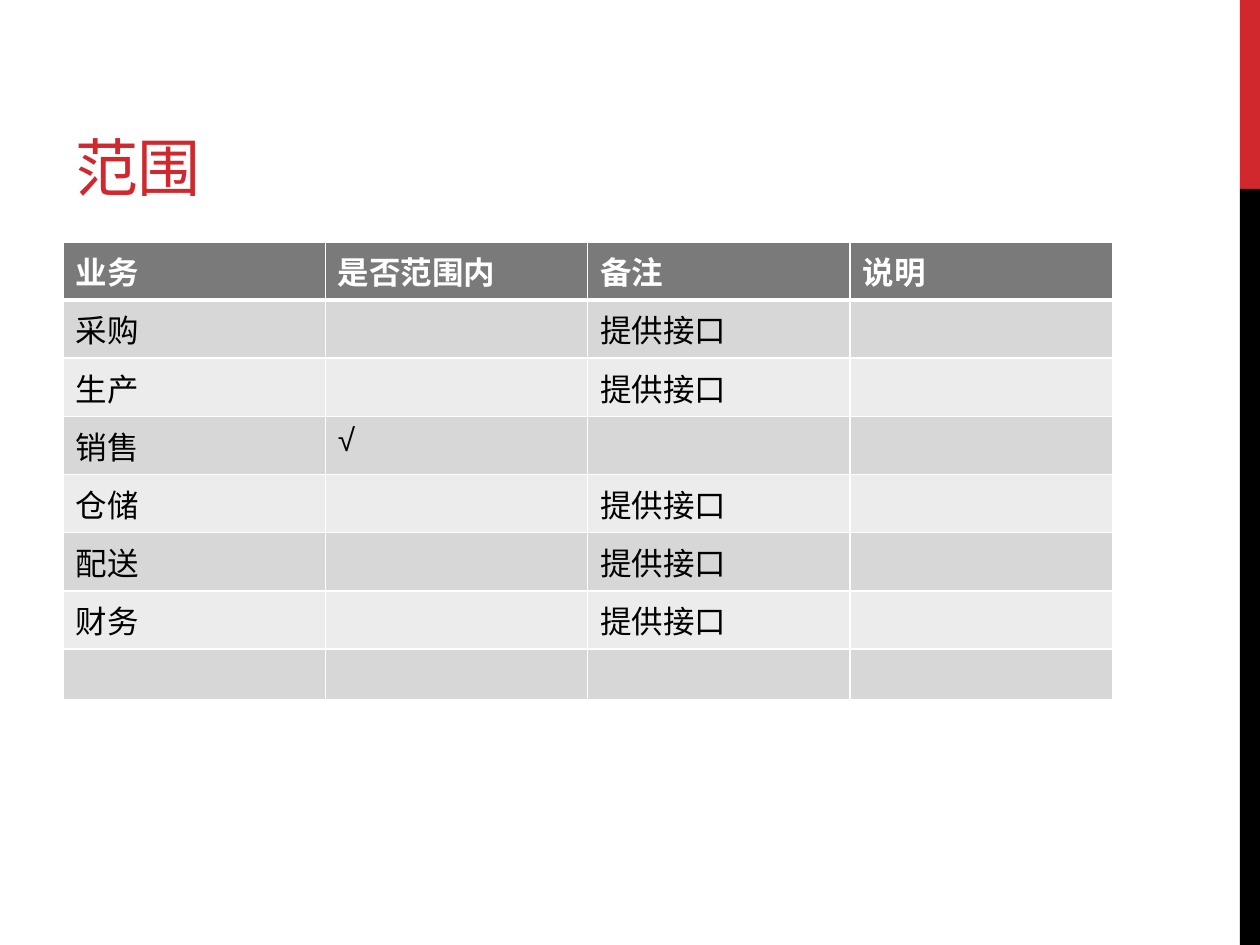
from lxml import etree
from pptx import Presentation
from pptx.dml.color import RGBColor
from pptx.enum.shapes import MSO_SHAPE
from pptx.enum.text import MSO_ANCHOR
from pptx.oxml.ns import qn
from pptx.util import Inches, Pt

COLORS = {
    "red": "D1282E",
    "black": "000000",
    "white": "FFFFFF",
    "header": "7A7A7A",
    "odd": "D7D7D7",
    "even": "ECECEC",
}


def style_run(run, font, size, color, bold=False):
    run.font.name = font
    run.font.size = Pt(size)
    run.font.bold = bold
    run.font.color.rgb = RGBColor.from_string(COLORS[color])


def add_border(cell, side, width):
    line = etree.Element(qn(f"a:{side}"), w=str(Pt(width)))
    fill = etree.SubElement(line, qn("a:solidFill"))
    etree.SubElement(fill, qn("a:srgbClr"), val=COLORS["white"])
    properties = cell._tc.get_or_add_tcPr()
    properties.insert(len(properties) - 1, line)


prs = Presentation()
prs.slide_width = Inches(10)
prs.slide_height = Inches(7.5)
slide = prs.slides.add_slide(prs.slide_layouts[6])

for color, top, height in [("red", 0, 1.5), ("black", 1.5, 6)]:
    bar = slide.shapes.add_shape(
        MSO_SHAPE.RECTANGLE, Inches(9.84), Inches(top), Inches(0.16), Inches(height)
    )
    bar.shadow.inherit = False
    bar.fill.solid()
    bar.fill.fore_color.rgb = RGBColor.from_string(COLORS[color])
    bar.line.fill.background()

title = slide.shapes.add_textbox(Inches(0.5), Inches(0.17), Inches(6.33), Inches(1.5))
title.text_frame.word_wrap = True
title.text_frame.vertical_anchor = MSO_ANCHOR.BOTTOM
title_run = title.text_frame.paragraphs[0].add_run()
title_run.text = "范围"
style_run(title_run, "Montserrat", 36, "red")
title_run.font._element.set("spc", "-60")

interface = "提供接口"
rows = [
    ("业务", "是否范围内", "备注", "说明"),
    ("采购", "", interface, ""),
    ("生产", "", interface, ""),
    ("销售", "√", "", ""),
    ("仓储", "", interface, ""),
    ("配送", "", interface, ""),
    ("财务", "", interface, ""),
    ("", "", "", ""),
]
filled_height, last_height = 3.23, 0.4
scope_table = slide.shapes.add_table(
    len(rows), len(rows[0]), Inches(0.5), Inches(1.92),
    Inches(8.33), Inches(filled_height + last_height)
).table

for r, values in enumerate(rows):
    is_header = r == 0
    is_last = r == len(rows) - 1
    scope_table.rows[r].height = Inches(
        last_height if is_last else filled_height / (len(rows) - 1)
    )
    fill = "header" if is_header else "odd" if r % 2 else "even"
    for c, value in enumerate(values):
        cell = scope_table.cell(r, c)
        cell.fill.solid()
        cell.fill.fore_color.rgb = RGBColor.from_string(COLORS[fill])
        for side in ("lnL", "lnR", "lnT", "lnB"):
            at_header_edge = (r, side) in [(0, "lnB"), (1, "lnT")]
            add_border(cell, side, 3 if at_header_edge else 1)
        if value:
            run = cell.text_frame.paragraphs[0].add_run()
            run.text = value
            style_run(run, "Arial", 18, "white" if is_header else "black", is_header)

prs.save("out.pptx")
